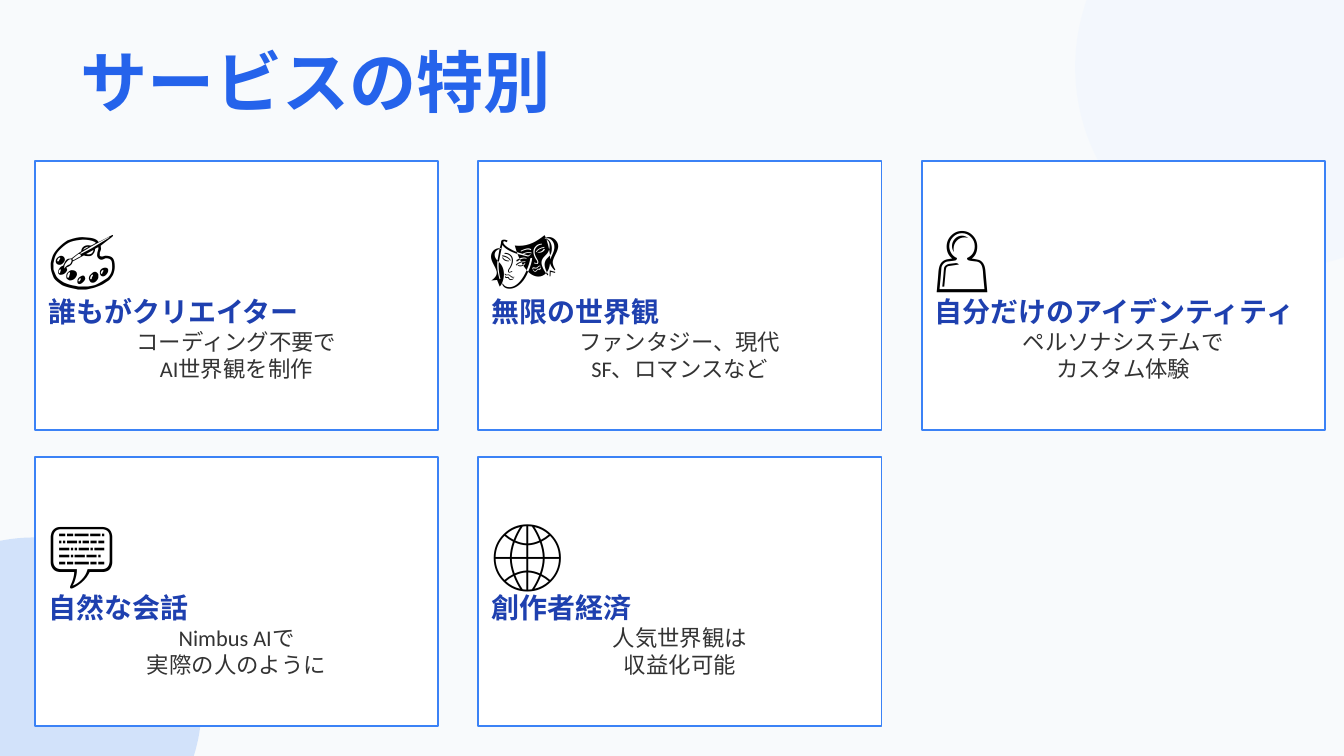
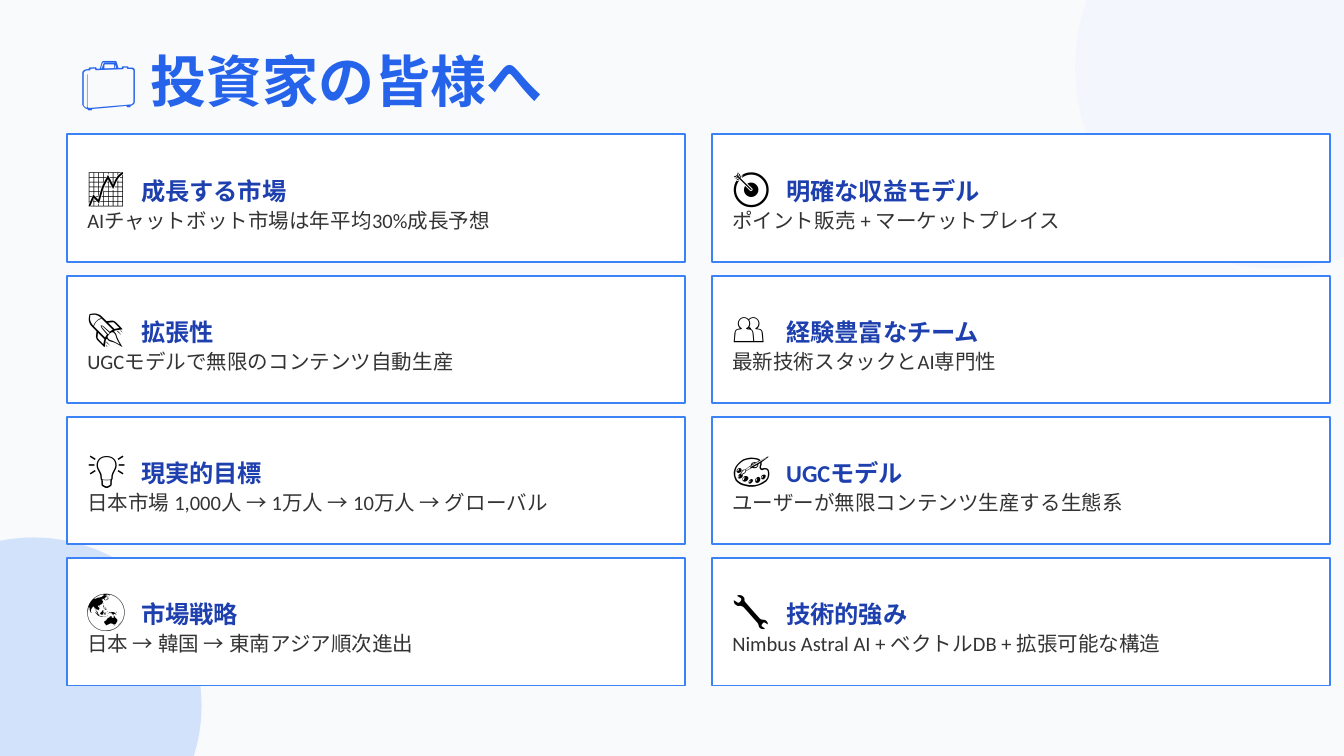
import dataclasses

import lxml.etree
import pptx
import pptx.dml.color
import pptx.enum.shapes
import pptx.enum.text
import pptx.oxml.ns
import pptx.util

Cm = pptx.util.Cm
Pt = pptx.util.Pt
qn = pptx.oxml.ns.qn
ALIGN = pptx.enum.text.PP_ALIGN
SHAPE = pptx.enum.shapes.MSO_SHAPE


@dataclasses.dataclass(frozen=True)
class Theme:
    font: str = "Calibri"
    ground: str = "F8FAFC"
    card: str = "FFFFFF"
    accent: str = "3B82F6"
    pale: str = "EFF6FF"
    title: str = "2563EB"
    heading: str = "1E40AF"
    body: str = "333333"
    icon: str = "000000"
    feature_sizes: tuple = (36, 15, 12)  # icon, heading, body
    reason_sizes: tuple = (20, 13, 11)


@dataclasses.dataclass(frozen=True)
class Box:
    """A rectangle in centimetres."""
    left: float
    top: float
    width: float
    height: float

    def lengths(self):
        return [Cm(side) for side in dataclasses.astuple(self)]

    def cell(self, index, columns, pitch_x, pitch_y):
        """The box moved to its place in a grid filled row by row."""
        row, column = divmod(index, columns)
        return dataclasses.replace(self, left=self.left + column * pitch_x,
                                   top=self.top + row * pitch_y)

    def inner(self, dx, dy, width, height):
        return Box(self.left + dx, self.top + dy, width, height)


THEME = Theme()
TITLE_BOX = Box(1.27, 0.76, 22.86, 1.52)
FEATURE_CARD = Box(0.66, 3.05, 7.62, 5.08)
REASON_CARD = Box(1.27, 2.54, 11.68, 2.41)
REASON_TAB = Cm(1.02)

FEATURES = [
    ("🎨", "誰もがクリエイター", ["コーディング不要で", "AI世界観を制作"]),
    ("🎭", "無限の世界観", ["ファンタジー、現代", "SF、ロマンスなど"]),
    ("👤", "自分だけのアイデンティティ", ["ペルソナシステムで", "カスタム体験"]),
    ("💬", "自然な会話", ["Nimbus AIで", "実際の人のように"]),
    ("🌐", "創作者経済", ["人気世界観は", "収益化可能"]),
]
REASONS = [
    ("📈", "成長する市場", "AIチャットボット市場は年平均30%成長予想"),
    ("🎯", "明確な収益モデル", "ポイント販売 + マーケットプレイス"),
    ("🚀", "拡張性", "UGCモデルで無限のコンテンツ自動生産"),
    ("👥", "経験豊富なチーム", "最新技術スタックとAI専門性"),
    ("💡", "現実的目標", "日本市場 1,000人 → 1万人 → 10万人 → グローバル"),
    ("🎨", "UGCモデル", "ユーザーが無限コンテンツ生産する生態系"),
    ("🌏", "市場戦略", "日本 → 韓国 → 東南アジア順次進出"),
    ("🔧", "技術的強み", "Nimbus Astral AI + ベクトルDB + 拡張可能な構造"),
]


def rgb(color):
    return pptx.dml.color.RGBColor.from_string(color)


def style(font, size, color, bold=False):
    font.name = THEME.font
    font.size = Pt(size)
    font.bold = bold
    font.color.rgb = rgb(color)


def add_panel(page, kind, box, fill, line=None, opacity=None):
    panel = page.shapes.add_shape(kind, *box.lengths())
    panel.shadow.inherit = False
    panel.fill.solid()
    panel.fill.fore_color.rgb = rgb(fill)
    if opacity is not None:
        color = panel.element.spPr.find(f"{qn('a:solidFill')}/{qn('a:srgbClr')}")
        lxml.etree.SubElement(color, qn("a:alpha")).set("val", str(opacity * 1000))
    if line:
        panel.line.color.rgb = rgb(line)
        panel.line.width = Pt(1)
    else:
        panel.line.fill.background()


def add_frame(page, box):
    frame = page.shapes.add_textbox(*box.lengths()).text_frame
    frame.word_wrap = True
    frame.vertical_anchor = pptx.enum.text.MSO_ANCHOR.MIDDLE
    return frame


def next_para(frame):
    """The first paragraph while the frame is empty, a new one after that."""
    first = frame.paragraphs[0]
    return frame.add_paragraph() if first.runs else first


def add_line(frame, text, size, color, bold=False, align=ALIGN.LEFT):
    para = next_para(frame)
    para.alignment = align
    para.add_run().text = text
    style(para.font, size, color, bold)


def add_page(deck, title, size):
    page = deck.slides.add_slide(deck.slide_layouts[5])
    page.background.fill.solid()
    page.background.fill.fore_color.rgb = rgb(THEME.ground)
    add_panel(page, SHAPE.OVAL, Box(20.32, -2.54, 7.62, 7.62), THEME.pale, opacity=50)
    add_panel(page, SHAPE.OVAL, Box(-2.54, 10.16, 6.35, 6.35), THEME.accent, opacity=20)
    holder = page.shapes.title
    holder.left, holder.top, holder.width, holder.height = TITLE_BOX.lengths()
    frame = holder.text_frame
    frame.text = title
    frame.word_wrap = True
    frame.auto_size = pptx.enum.text.MSO_AUTO_SIZE.NONE
    frame.vertical_anchor = pptx.enum.text.MSO_ANCHOR.MIDDLE
    para = frame.paragraphs[0]
    para.alignment = ALIGN.LEFT
    style(para.font, size, THEME.title, bold=True)
    return page


def add_feature(page, box, icon, heading, lines):
    icon_size, heading_size, body_size = THEME.feature_sizes
    add_panel(page, SHAPE.RECTANGLE, box, THEME.card, THEME.accent)
    frame = add_frame(page, box.inner(0, 0.3, box.width, 4.57))
    add_line(frame, icon, icon_size, THEME.icon)
    add_line(frame, heading, heading_size, THEME.heading, bold=True)
    for line in lines:
        add_line(frame, line, body_size, THEME.body, align=ALIGN.CENTER)


def add_reason(page, box, icon, heading, body):
    icon_size, heading_size, body_size = THEME.reason_sizes
    add_panel(page, SHAPE.RECTANGLE, box, THEME.card, THEME.accent)
    frame = add_frame(page, box.inner(0.13, 0.18, 11.18, 2.03))
    para = next_para(frame)
    tabs = lxml.etree.SubElement(para._p.get_or_add_pPr(), qn("a:tabLst"))
    tab = lxml.etree.SubElement(tabs, qn("a:tab"))
    tab.set("pos", str(int(REASON_TAB)))
    tab.set("algn", "l")
    para.font.name = THEME.font
    for text, size, color, bold in ((icon + "\t", icon_size, THEME.icon, False),
                                    (heading, heading_size, THEME.heading, True)):
        span = para.add_run()
        span.text = text
        style(span.font, size, color, bold)
    add_line(frame, body, body_size, THEME.body)


def build_features(deck):
    page = add_page(deck, "サービスの特別", 36)
    for index, feature in enumerate(FEATURES):
        add_feature(page, FEATURE_CARD.cell(index, 3, 8.38, 5.59), *feature)


def build_reasons(deck):
    page = add_page(deck, "💼 投資家の皆様へ", 30)
    for index, reason in enumerate(REASONS):
        add_reason(page, REASON_CARD.cell(index, 2, 12.19, 2.67), *reason)


def main():
    deck = pptx.Presentation()
    deck.slide_width, deck.slide_height = Cm(25.4), Cm(14.29)
    build_features(deck)
    build_reasons(deck)
    deck.save("out.pptx")


if __name__ == "__main__":
    main()
